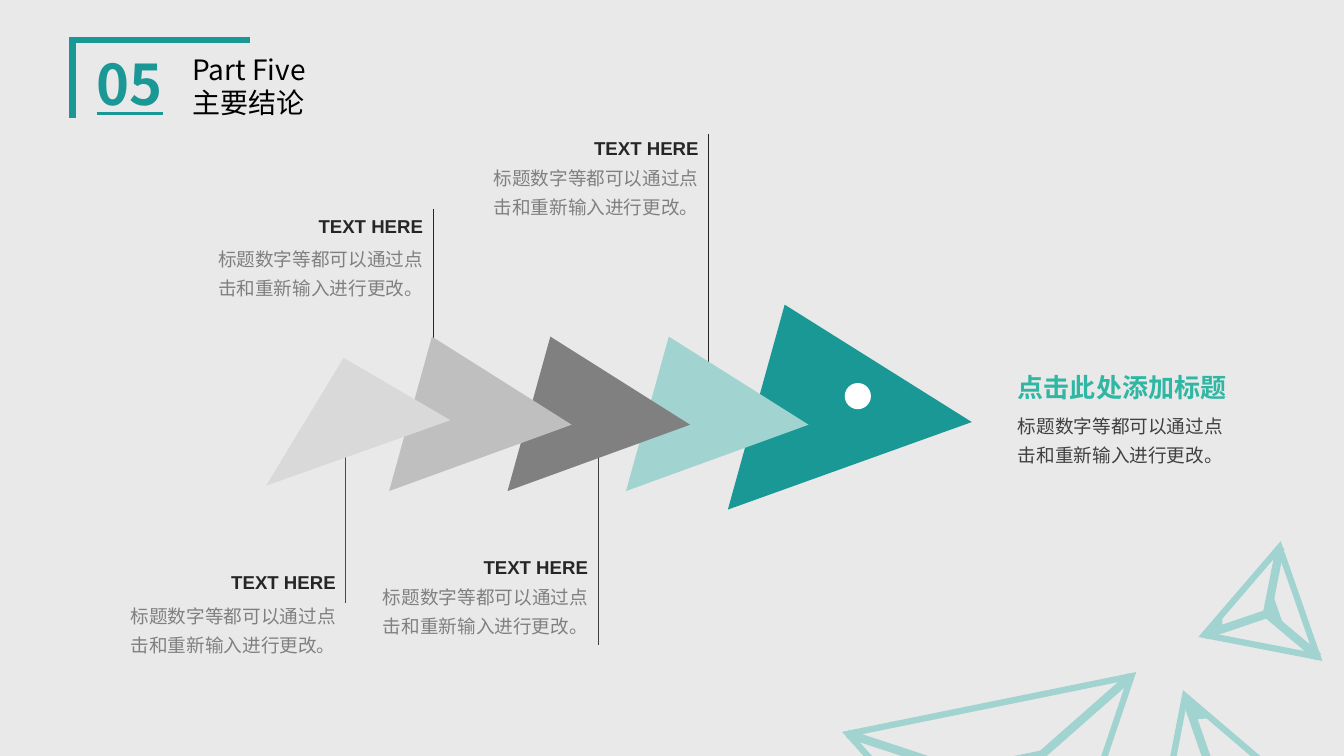
from lxml.etree import SubElement
from pptx import Presentation
from pptx.dml.color import RGBColor
from pptx.enum.shapes import MSO_CONNECTOR, MSO_SHAPE
from pptx.enum.text import MSO_ANCHOR, MSO_AUTO_SIZE, PP_ALIGN
from pptx.oxml.ns import qn
from pptx.util import Pt

TEAL, PALE_TEAL, BACKDROP = "1A9895", "A1D3D0", "E9E9E9"
CJK = "Noto Sans CJK SC"
ADVICE = "标题数字等都可以通过点击和重新输入进行更改。"


def paint(item, fill=None, line=None, weight=1):
    """Set fill and line of a shape or connector, with sharp corners and no shadow."""
    if fill:
        item.fill.solid()
        item.fill.fore_color.rgb = RGBColor.from_string(fill)
    elif hasattr(item, "fill"):
        item.fill.background()
    if line:
        item.line.color.rgb = RGBColor.from_string(line)
        item.line.width = Pt(weight)
        SubElement(item.line._get_or_add_ln(), qn("a:miter"), lim="800000")
    else:
        item.line.fill.background()
    SubElement(item._element.spPr, qn("a:effectLst"))


def write(holder, words, size, color, font=CJK, bold=False, align=PP_ALIGN.LEFT, spacing=1.0):
    frame = holder.text_frame
    frame.text = words
    frame.word_wrap = True
    frame.auto_size = MSO_AUTO_SIZE.NONE
    frame.vertical_anchor = MSO_ANCHOR.TOP
    for paragraph in frame.paragraphs:
        paragraph.alignment = align
        paragraph.line_spacing = spacing
        for run in paragraph.runs:
            run.font.size, run.font.bold, run.font.name = Pt(size), bold, font
            run.font.color.rgb = RGBColor.from_string(color)
            SubElement(run._r.get_or_add_rPr(), qn("a:ea"), typeface=font)


deck = Presentation()
deck.slide_width, deck.slide_height = Pt(960), Pt(540)
slide = deck.slides.add_slide(deck.slide_layouts[5])
slide.background.fill.solid()
slide.background.fill.fore_color.rgb = RGBColor.from_string(BACKDROP)
shapes = slide.shapes

# Corner frame, part number and title
corner = shapes.build_freeform(Pt(51.8), Pt(84.2))
corner.add_line_segments([(Pt(51.8), Pt(28.8)), (Pt(178.6), Pt(28.8))], close=False)
paint(corner.convert_to_shape(), line=TEAL, weight=4.5)

number = shapes.add_textbox(Pt(62), Pt(31.7), Pt(68.4), Pt(55.4))
write(number, "05", 40, TEAL, bold=True)
number.text_frame.paragraphs[0].runs[0].font.underline = True

title = shapes.title
title.left, title.top, title.width, title.height = Pt(130.3), Pt(33.8), Pt(172.8), Pt(55.4)
write(title, "Part Five\n主要结论", 20, "000000")

# Wire pyramids: outline (left, top, width, height, rotation), ribs, hub, notch
pyramids = [
    ((808.6, 494.6, 105.8, 90.7, 340.7),
     [(846.7, 497.5, 866.2, 553.7)],
     None,
     [(853.9, 513.4), (862.6, 512.6), (850.3, 502.6)]),
    ((621.4, 501.8, 206.6, 177.8, 168.5),
     [(807.8, 483.1, 718.6, 561.6), (605.5, 524.2, 719.3, 561.6)],
     (689.8, 542.2, 54, 16.6, 168.5),
     None),
    ((852.5, 406.1, 82.8, 71.3, 250.8),
     [(860.4, 453.6, 905, 438.5), (941.8, 469.4, 905, 438.5), (914.4, 391, 905, 438.5)],
     (898.6, 433.4, 21.6, 6.5, 250.8),
     [(872.6, 447.8), (872.6, 441.4), (864.7, 450.7)]),
]
for outline, ribs, hub, notch in pyramids:
    *box, turn = outline
    base = shapes.add_shape(MSO_SHAPE.ISOSCELES_TRIANGLE, *map(Pt, box))
    base.rotation = turn
    paint(base, BACKDROP, PALE_TEAL, 4.5)
    for ends in ribs:
        paint(shapes.add_connector(MSO_CONNECTOR.STRAIGHT, *map(Pt, ends)), line=PALE_TEAL, weight=6)
    if hub:
        *box, turn = hub
        joint = shapes.add_shape(MSO_SHAPE.ISOSCELES_TRIANGLE, *map(Pt, box))
        joint.rotation = turn
        paint(joint, PALE_TEAL, PALE_TEAL)
    if notch:
        wedge = shapes.build_freeform(*map(Pt, notch[0]))
        wedge.add_line_segments([(Pt(x), Pt(y)) for x, y in notch[1:]])
        paint(wedge.convert_to_shape(), PALE_TEAL, PALE_TEAL)

# Callouts: line x, line top, line bottom, heading top, advice top, line colour
callouts = [
    (506.2, 95.8, 262.1, 94.3, 110.9, "262626"),
    (309.4, 149, 254.9, 149.8, 168.5, "262626"),
    (427.2, 325.4, 460.8, 393.8, 410.4, "404040"),
    (247, 324.7, 430.6, 404.6, 424.1, "215968"),
]
for x, top, bottom, heading_top, advice_top, color in callouts:
    stem = shapes.add_connector(MSO_CONNECTOR.STRAIGHT, Pt(x), Pt(top), Pt(x), Pt(bottom))
    paint(stem, line=color, weight=0.75)
    heading = shapes.add_textbox(Pt(x - 118), Pt(heading_top), Pt(118), Pt(23.8))
    write(heading, "TEXT HERE", 13.3, "262626", "Arial", True, PP_ALIGN.RIGHT)
    advice = shapes.add_textbox(Pt(x - 168.5), Pt(advice_top), Pt(168.5), Pt(49))
    write(advice, ADVICE, 13.3, "808080", align=PP_ALIGN.RIGHT, spacing=1.3)

# Fish: head first, then scales stacked towards the tail
scales = [(537.1, 235.4, 151.9, 151.2, TEAL)]
for step, color in enumerate([PALE_TEAL, "808080", "BFBFBF"]):
    scales.append((459.6 - 84.6 * step, 254.2, 114.5, 113, color))
for *box, color in scales:
    scale = shapes.add_shape(MSO_SHAPE.ISOSCELES_TRIANGLE, *map(Pt, box))
    scale.adjustments[0] = 0.297
    scale.rotation = 105.5
    paint(scale, color)

tail = shapes.build_freeform(Pt(245.5), Pt(255.6))
tail.add_line_segments([(Pt(321.8), Pt(300.2)), (Pt(190.1), Pt(347))])
paint(tail.convert_to_shape(), "D9D9D9")
paint(shapes.add_shape(MSO_SHAPE.OVAL, Pt(603.4), Pt(273.6), Pt(18.7), Pt(18.7)), "FFFFFF")

# Conclusion beside the head
summary = shapes.add_textbox(Pt(720), Pt(288), Pt(164.9), Pt(49))
write(summary, ADVICE, 13.3, "404040", spacing=1.3)
conclusion = shapes.add_textbox(Pt(720), Pt(262.1), Pt(164.9), Pt(30.2))
write(conclusion, "点击此处添加标题", 18.6, "2FB7A3", bold=True)
conclusion.text_frame.word_wrap = False

deck.save("out.pptx")
